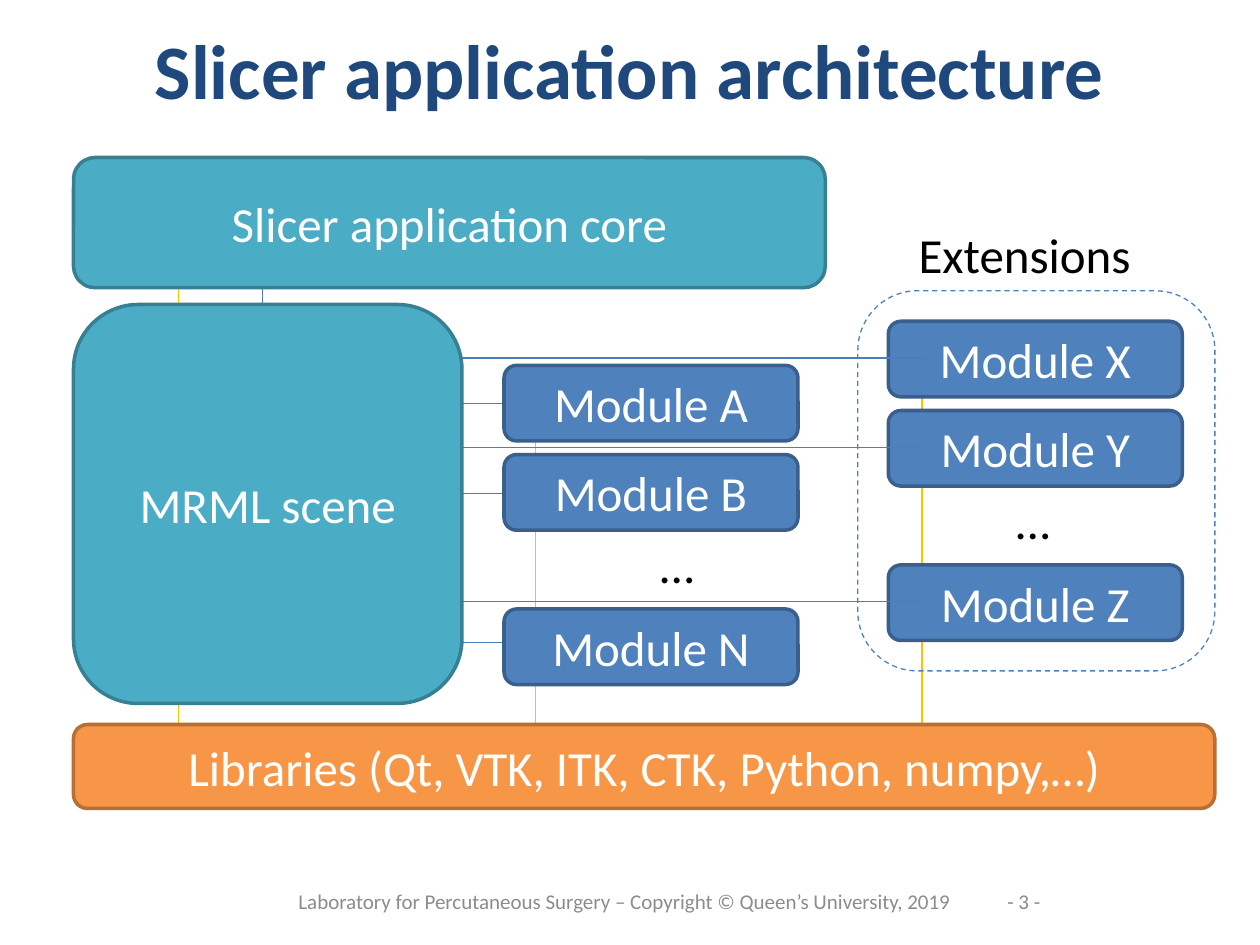
from lxml.etree import SubElement
from pptx import Presentation
from pptx.dml.color import RGBColor
from pptx.enum.dml import MSO_LINE
from pptx.enum.shapes import MSO_CONNECTOR, MSO_SHAPE
from pptx.enum.text import MSO_ANCHOR, PP_ALIGN
from pptx.oxml.ns import qn
from pptx.util import Inches, Pt

COLS, ROWS = 120, 90
WIDTH, HEIGHT = Inches(10), Inches(7.5)
FONT = "Calibri"

WHITE = RGBColor(0xFF, 0xFF, 0xFF)
BLACK = RGBColor(0x00, 0x00, 0x00)
GRAY = RGBColor(0x8C, 0x8C, 0x8C)
NAVY = RGBColor(0x1F, 0x49, 0x7D)
GOLD = RGBColor(0xFF, 0xC0, 0x00)
WIRE = RGBColor(0x4B, 0x7E, 0xBC)
BLUE = RGBColor(0x4F, 0x81, 0xBD)
BLUE_EDGE = RGBColor(0x3A, 0x5F, 0x8C)
TEAL = RGBColor(0x4B, 0xAC, 0xC6)
TEAL_EDGE = RGBColor(0x37, 0x7F, 0x92)
ORANGE = RGBColor(0xF7, 0x96, 0x46)
ORANGE_EDGE = RGBColor(0xB7, 0x6F, 0x34)

LEFT = 7            # left edge of core, scene and libraries
SPAN = 108.7        # full width of the diagram
STEPS = (0, 8.5, 23.2)  # module tops, counted from the top of their column
MODULE = (28, 7.2)


def place(x, y, w, h):
    return (int(WIDTH * x / COLS), int(HEIGHT * y / ROWS),
            int(WIDTH * w / COLS), int(HEIGHT * h / ROWS))


def write(shape, text, size, color, align=PP_ALIGN.CENTER,
          anchor=MSO_ANCHOR.MIDDLE, bold=False):
    frame = shape.text_frame
    frame.word_wrap = True
    frame.vertical_anchor = anchor
    para = frame.paragraphs[0]
    para.alignment = align
    run = para.add_run()
    run.text = text
    run.font.name = FONT
    run.font.size = Pt(size)
    run.font.bold = bold
    run.font.color.rgb = color


def label(slide, area, text, size, color, **style):
    write(slide.shapes.add_textbox(*place(*area)), text, size, color, **style)


def note(slide, area, text):
    """Black text set from the top left."""
    label(slide, area, text, 28, BLACK, align=PP_ALIGN.LEFT, anchor=MSO_ANCHOR.TOP)


def block(slide, area, text, fill, edge):
    shape = slide.shapes.add_shape(MSO_SHAPE.ROUNDED_RECTANGLE, *place(*area))
    shape.shadow.inherit = False
    shape.fill.solid()
    shape.fill.fore_color.rgb = fill
    shape.line.color.rgb = edge
    shape.line.width = Pt(2)
    write(shape, text, 28, WHITE)


def frame(slide, area):
    shape = slide.shapes.add_shape(MSO_SHAPE.ROUNDED_RECTANGLE, *place(*area))
    shape.shadow.inherit = False
    shape.fill.background()
    shape.line.color.rgb = BLUE
    shape.line.width = Pt(0.75)
    shape.line.dash_style = MSO_LINE.DASH


def wire(slide, x1, y1, x2, y2, color=WIRE):
    ends = place(x1, y1, x2, y2)
    line = slide.shapes.add_connector(MSO_CONNECTOR.STRAIGHT, *ends)
    line.line.color.rgb = color
    line.line.width = Pt(0.75)
    SubElement(line._element.spPr, qn("a:effectLst"))


def modules(slide, x, y, names, gap):
    """A column of modules, with dots set in by gap before the last one."""
    for name, step in zip(names, STEPS):
        block(slide, (x, y + step, *MODULE), f"Module {name}", BLUE, BLUE_EDGE)
    note(slide, (x + gap, y + 15.5, 21.4, 8), "…")


def main():
    deck = Presentation()
    deck.slide_width, deck.slide_height = WIDTH, HEIGHT
    slide = deck.slides.add_slide(deck.slide_layouts[6])

    for x, top, base in ((17, 25, 70.8), (87.8, 37, 69.4), (51, 39.1, 71.5)):
        wire(slide, x, top, x, base, GOLD)
    for x, y in ((41.6, 38.4), (42, 47), (40, 61.2)):
        wire(slide, x, y, x + 12.4, y)
    wire(slide, 25, 25, 25, 35)

    label(slide, (94, 83.4, 7, 4.8), "- 3 -", 12, GRAY)
    label(slide, (25, 83.4, 69, 4.8),
          "Laboratory for Percutaneous Surgery – Copyright © Queen’s University, 2019",
          12, GRAY)
    label(slide, (6, 0, 108, 13), "Slicer application architecture",
          44, NAVY, bold=True)

    block(slide, (LEFT, 69, SPAN, 8),
          "Libraries (Qt, VTK, ITK, CTK, Python, numpy,…)", ORANGE, ORANGE_EDGE)
    block(slide, (LEFT, 15, 71.6, 12.4), "Slicer application core", TEAL, TEAL_EDGE)
    modules(slide, 48, 34.8, "ABN", 13.7)
    modules(slide, 84.6, 30.6, "XYZ", 11)
    frame(slide, (81.7, 27.7, 34, 36.2))
    note(slide, (86.3, 20.8, 24.7, 8), "Extensions")

    for step, start, end in zip(STEPS, (41, 38, 38), (88.3, 87.8, 87.8)):
        wire(slide, start, 34.1 + step, end, 34.1 + step)
    block(slide, (LEFT, 29, 37, 38), "MRML scene", TEAL, TEAL_EDGE)

    deck.save("out.pptx")


if __name__ == "__main__":
    main()
